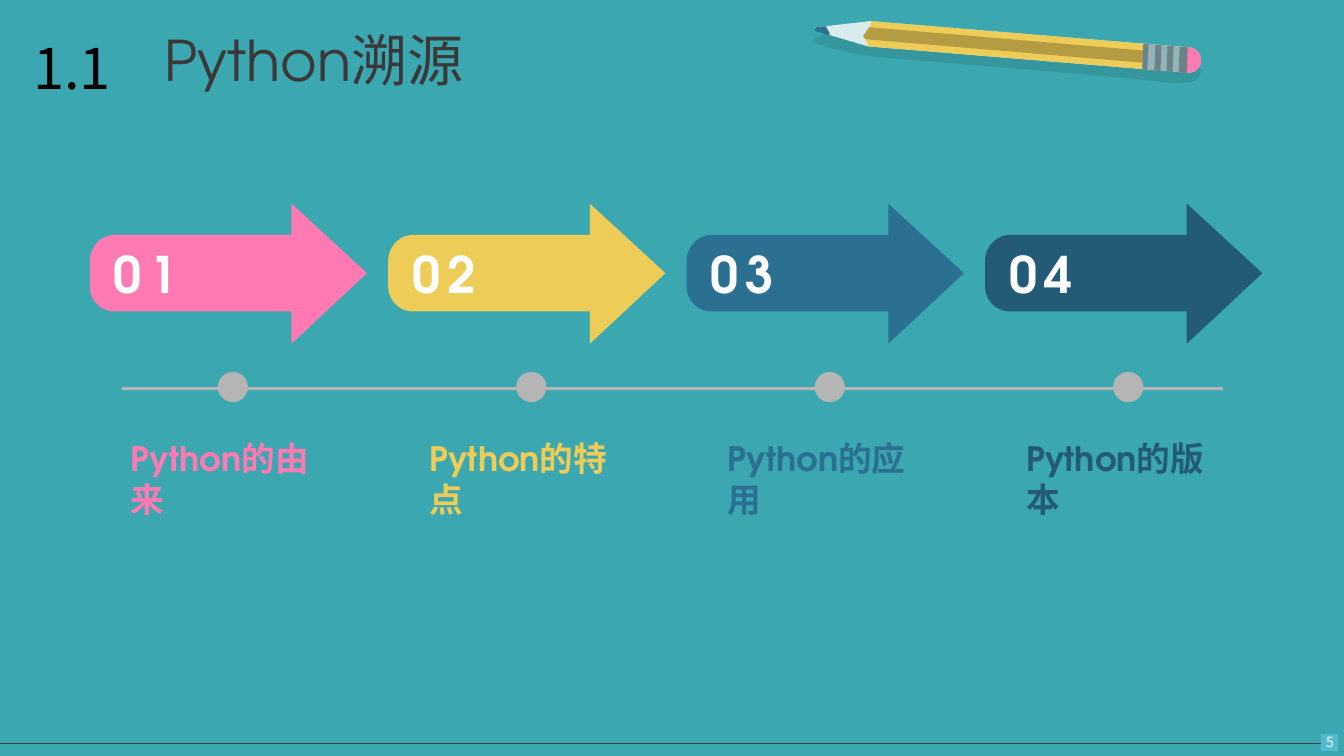
from lxml.etree import SubElement
from pptx import Presentation
from pptx.dml.color import RGBColor
from pptx.enum.shapes import MSO_CONNECTOR, MSO_SHAPE
from pptx.enum.text import MSO_ANCHOR, MSO_AUTO_SIZE, PP_ALIGN
from pptx.oxml.ns import qn
from pptx.util import Inches, Pt

COLUMNS, ROWS = 133.3, 75
LATIN, CJK = "TeX Gyre Adventor", "Noto Sans CJK SC"
COLORS = {
    "teal": "3BA7B0", "pink": "FF7AB2", "yellow": "EDCC58", "blue": "2B6F91",
    "navy": "235A75", "grey": "B5B5B6", "white": "FFFFFF", "black": "000000",
    "charcoal": "3B3838", "rule": "404040", "badge": "51BACF", "shade": "35969E",
    "wood": "D8EBED", "ochre": "B59C43", "ferrule": "93B3B8", "band": "6B8387",
}


class Board:
    def __init__(self, deck, background):
        self.column = deck.slide_width / COLUMNS
        self.row = deck.slide_height / ROWS
        self.slide = deck.slides.add_slide(deck.slide_layouts[5])
        self.shapes = self.slide.shapes
        self.slide.background.fill.solid()
        self.slide.background.fill.fore_color.rgb = self.color(background)

    def color(self, name):
        return RGBColor.from_string(COLORS[name])

    def at(self, x, y):
        return round(x * self.column), round(y * self.row)

    def paint(self, shape, fill):
        shape.shadow.inherit = False
        shape.fill.solid()
        shape.fill.fore_color.rgb = self.color(fill)
        shape.line.fill.background()
        return shape

    def preset(self, kind, x, y, width, height, fill):
        return self.paint(self.shapes.add_shape(kind, *self.at(x, y), *self.at(width, height)), fill)

    def outline(self, steps, fill, x=0, y=0, group=None):
        points = []
        for step in steps:
            if len(step) == 2:
                points.append(step)
                continue
            knots = [points[-1], step[:2], step[2:4], step[4:]]
            for t in (n / 12 for n in range(1, 13)):
                weights = ((1 - t) ** 3, 3 * t * (1 - t) ** 2, 3 * t * t * (1 - t), t ** 3)
                points.append(tuple(sum(w * k[axis] for w, k in zip(weights, knots)) for axis in (0, 1)))
        corners = [self.at(x + px, y + py) for px, py in points]
        builder = (group or self.slide).shapes.build_freeform(*corners[0])
        builder.add_line_segments(corners[1:], close=True)
        return self.paint(builder.convert_to_shape(), fill)

    def rule(self, x1, y1, x2, y2, color, weight):
        line = self.shapes.add_connector(MSO_CONNECTOR.STRAIGHT, *self.at(x1, y1), *self.at(x2, y2))
        line.line.color.rgb = self.color(color)
        line.line.width = Pt(weight)
        SubElement(line._element.spPr, qn("a:effectLst"))

    def label(self, shape, words, size, color, font=LATIN, bold=False, align=PP_ALIGN.LEFT,
              anchor=MSO_ANCHOR.TOP, left=1, spacing=0):
        frame = shape.text_frame
        frame.word_wrap = True
        frame.auto_size = MSO_AUTO_SIZE.NONE
        frame.vertical_anchor = anchor
        frame.margin_left, frame.margin_top = self.at(left, 0.5)
        frame.margin_right, frame.margin_bottom = self.at(min(left, 1), 0.5)
        paragraph = frame.paragraphs[0]
        paragraph.alignment = align
        run = paragraph.add_run()
        run.text = words
        run.font.name = font
        run.font.size = Pt(size)
        run.font.bold = bold
        run.font.color.rgb = self.color(color)
        properties = run._r.get_or_add_rPr()
        SubElement(properties, qn("a:ea")).set("typeface", CJK)
        if spacing:
            properties.set("spc", str(spacing * 100))

    def text(self, x, y, width, height, words, size, color, **style):
        self.label(self.shapes.add_textbox(*self.at(x, y), *self.at(width, height)),
                   words, size, color, **style)

    def title(self, x, y, width, height, words, size, color):
        heading = self.shapes.title
        heading.left, heading.top = self.at(x, y)
        heading.width, heading.height = self.at(width, height)
        self.label(heading, words, size, color)


deck = Presentation()
deck.slide_width, deck.slide_height = Inches(13.33), Inches(7.5)
board = Board(deck, "teal")

board.title(15.3, 2, 34, 7.7, "Python溯源", 40, "charcoal")
board.text(2.3, 2.8, 14.6, 14.5, "1.1", 40, "black", font=CJK)

board.rule(0, 73.7, 131.2, 73.7, "rule", 0.5)
board.preset(MSO_SHAPE.RECTANGLE, 131, 72.8, 1.7, 1.7, "badge")
board.text(129.7, 72.8, 4.4, 1.7, "5", 10, "white", font=CJK,
           align=PP_ALIGN.CENTER, anchor=MSO_ANCHOR.MIDDLE, left=0)

eraser_end = [(117.8, 4.7), (118.6, 4.7, 119.2, 5.4, 119.1, 6.1), (119.1, 6.8, 118.4, 7.3, 117.6, 7.2)]
pencil_parts = [
    ("shade", [(82.8, 3.2), (82.8, 3.2, 80.9, 3.6, 80.6, 4), (80.3, 4.4, 84.9, 5.4, 86.6, 5.6),
               (88.3, 5.8, 110.8, 7.6, 114.2, 8), (117.6, 8.5, 119.1, 8.2, 119.1, 7.1),
               (119.1, 6.1, 118.5, 5.8, 116.9, 5.6), (115.4, 5.4, 87.2, 2.7, 87.1, 2.7),
               (87, 2.8, 85, 2.4, 82.8, 3.2)]),
    ("wood", [(86.3, 2.1), *eraser_end, (86.1, 4.6), (81, 3.1), (80.8, 3, 80.8, 2.7, 81, 2.7)]),
    ("yellow", [(86.4, 2.1), *eraser_end, (86.1, 4.6), (86, 4.2, 85.9, 3.9, 85.6, 3.6),
                (86, 3.2, 86.4, 2.7, 86.4, 2.1)]),
    ("ochre", [(119.1, 6.1), (119, 5.5), (86.2, 2.7), (85.6, 3.6), (85.9, 3.9), (118.9, 6.7)]),
    ("ferrule", [(113.4, 4.3), *eraser_end, (113.3, 6.9)]),
    ("blue", [(80.9, 3.1), (82.2, 3.5), (82.3, 3.3), (81.9, 2.6), (81, 2.7), (80.8, 2.8, 80.8, 3, 80.9, 3.1)]),
    ("pink", [(117.6, 4.6), *eraser_end, (117.4, 7.2)]),
]
pencil = board.shapes.add_group_shape()
for fill, steps in pencil_parts:
    board.outline(steps, fill, group=pencil)
for band, width in enumerate((0.5, 0.6, 0.6, 0.8)):
    board.outline([(0.1, 0), (0.1 + width, 0.05), (width, 2.6), (0, 2.55)], "band",
                  113.3 + 1.2 * band, 4.35 + 0.1 * band, pencil)

arrow_steps = [(27.5, 6.9), (20, 0), (20, 3.1), (2.5, 3.1), (1.1, 3.1, 0, 4.3, 0, 5.7),
               (0, 8.2), (0, 9.6, 1.1, 10.7, 2.5, 10.7), (20, 10.7), (20, 13.9)]
topics = [("Python的由来", "pink"), ("Python的特点", "yellow"),
          ("Python的应用", "blue"), ("Python的版本", "navy")]
board.preset(MSO_SHAPE.RECTANGLE, 12.1, 38.4, 109.2, 0.3, "grey")
for index, (topic, color) in enumerate(topics):
    left = 8.9 + 29.6 * index
    arrow = board.outline(arrow_steps, color, left, 20.2)
    board.label(arrow, f"{index + 1:02}", 36, "white", bold=True,
                anchor=MSO_ANCHOR.MIDDLE, left=2.4, spacing=5)
    board.preset(MSO_SHAPE.OVAL, left + 12.7, 36.9, 3, 3, "grey")
    board.text(left + 3.1, 43, 22.1, 5, topic, 24, color, bold=True)

deck.save("out.pptx")
